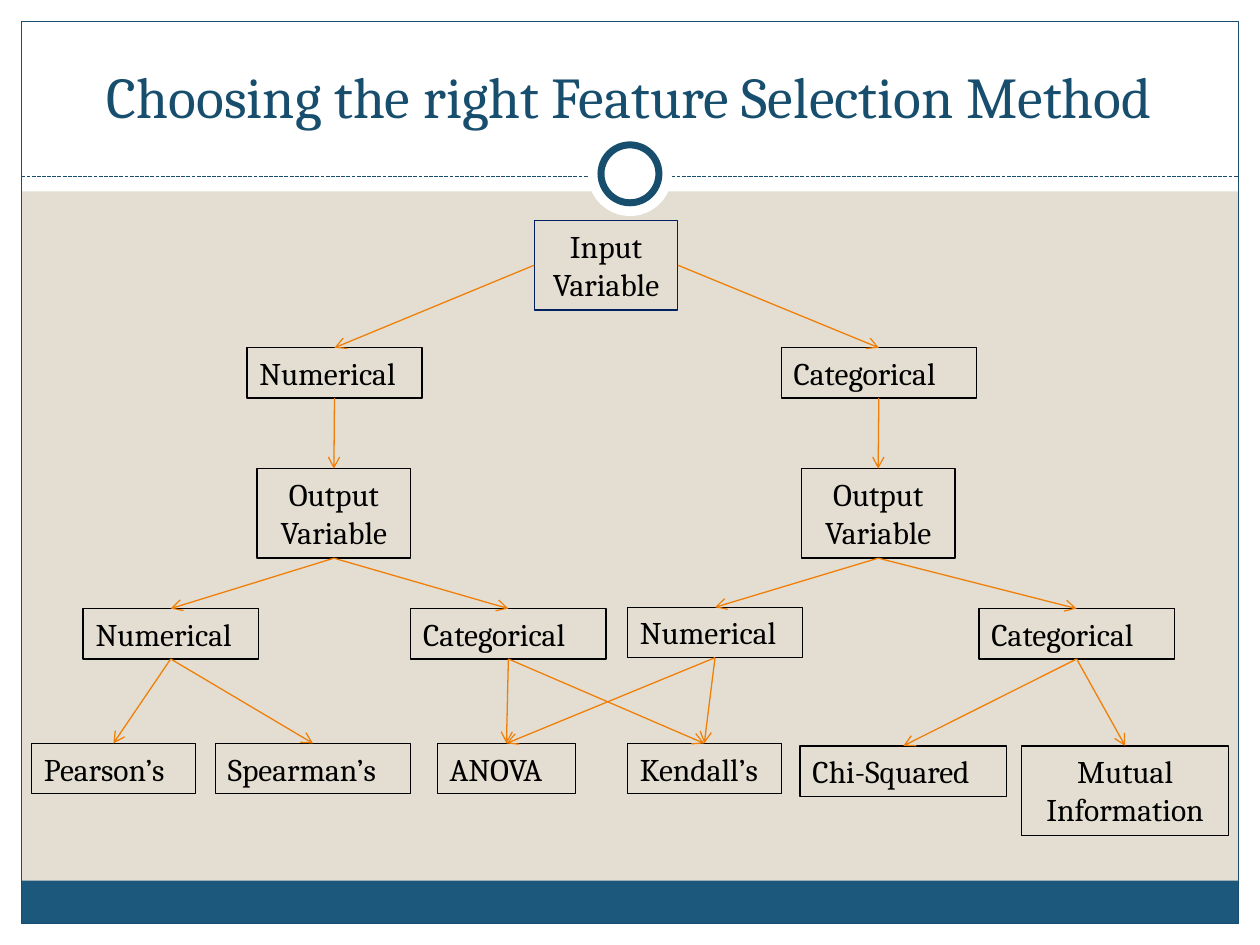
"""Build the feature selection decision tree slide."""
from lxml.etree import SubElement
from pptx import Presentation
from pptx.dml.color import RGBColor as RGB
from pptx.enum.dml import MSO_LINE
from pptx.enum.shapes import MSO_CONNECTOR as CONN, MSO_SHAPE as SHP
from pptx.enum.text import MSO_ANCHOR as ANC, PP_ALIGN as AL
from pptx.oxml.ns import qn
from pptx.util import Inches, Pt

W, H = 10, 7.5
EDGE = 0.17
COL = {"sand": "E3DED1", "white": "FFFFFF", "band": "1B587C", "navy": "184E6D",
       "root": "002060", "black": "000000", "arrow": "F07F09"}

prs = Presentation()
prs.slide_width, prs.slide_height = Inches(W), Inches(H)
s = prs.slides.add_slide(prs.slide_layouts[6])
s.background.fill.solid()
s.background.fill.fore_color.rgb = RGB.from_string(COL["sand"])


def add_box(kind, x, y, w, h, fill=None, line=None, pt=0.75):
    sp = s.shapes.add_shape(kind, *map(Inches, (x, y, w, h)))
    sp.shadow.inherit = False
    for part, color in ((sp.fill, fill), (sp.line.fill, line)):
        if color:
            part.solid()
            part.fore_color.rgb = RGB.from_string(COL[color])
        else:
            part.background()
    if line:
        sp.line.width = Pt(pt)
    return sp


def add_line(color, x1=0, y1=0, x2=0, y2=0):
    ln = s.shapes.add_connector(CONN.STRAIGHT, *map(Inches, (x1, y1, x2, y2)))
    ln.line.color.rgb = RGB.from_string(COL[color])
    ln.line.width = Pt(0.75)
    SubElement(ln._element.spPr, qn("a:effectLst"))
    return ln


for x, y, w, h in ((0, H - EDGE, W, EDGE), (0, 0, W, 1.52),
                   (0, 0, EDGE, H), (W - EDGE, 0, EDGE, H)):
    add_box(SHP.RECTANGLE, x, y, w, h, "white")
add_box(SHP.RECTANGLE, EDGE, 6.99, W - 2 * EDGE, 0.34, "band")
add_box(SHP.RECTANGLE, EDGE, EDGE, W - 2 * EDGE, H - 2 * EDGE, line="navy")
add_line("navy", EDGE, 1.4, W - EDGE, 1.4).line.dash_style = MSO_LINE.SQUARE_DOT
for d, line in ((0.67, None), (0.46, "navy")):
    add_box(SHP.OVAL, (W - d) / 2, 1.38 - d / 2, d, d, "white", line, 4)

title = s.shapes.add_textbox(*map(Inches, (0.33, 0.25, 9.33, 0.83)))
tf = title.text_frame
tf.word_wrap = True
tf.vertical_anchor = ANC.BOTTOM
p = tf.paragraphs[0]
p.text = "Choosing the right Feature Selection Method"
p.alignment = AL.CENTER
p.font.name, p.font.size = "Cambria", Pt(33)
p.font.color.rgb = RGB.from_string(COL["navy"])

ONE, TWO = 0.4, 0.71
NODES = {
    "input": ("Input\nVariable", 4.24, 1.75, 1.14, TWO),
    "num": ("Numerical", 1.96, 2.76, 1.39, ONE),
    "cat": ("Categorical", 6.2, 2.76, 1.55, ONE),
    "num out": ("Output Variable", 2.04, 3.72, 1.22, TWO),
    "cat out": ("Output Variable", 6.36, 3.72, 1.22, TWO),
    "num num": ("Numerical", 0.66, 4.83, 1.39, ONE),
    "num cat": ("Categorical", 3.26, 4.83, 1.55, ONE),
    "cat num": ("Numerical", 4.98, 4.82, 1.39, ONE),
    "cat cat": ("Categorical", 7.77, 4.83, 1.55, ONE),
    "pearson": ("Pearson’s", 0.25, 5.9, 1.3, ONE),
    "spearman": ("Spearman’s", 1.71, 5.9, 1.55, ONE),
    "anova": ("ANOVA", 3.47, 5.9, 1.1, ONE),
    "kendall": ("Kendall’s", 4.98, 5.9, 1.22, ONE),
    "chi": ("Chi-Squared", 6.35, 5.92, 1.64, ONE),
    "mutual": ("Mutual Information", 8.11, 5.92, 1.64, TWO),
}
boxes = {}
for key, (text, x, y, w, h) in NODES.items():
    sp = add_box(SHP.RECTANGLE, x, y, w, h,
                 line="root" if key == "input" else "black")
    tf = sp.text_frame
    tf.word_wrap = True
    tf.vertical_anchor = ANC.TOP
    tf.text = text
    for p in tf.paragraphs:
        p.alignment = AL.CENTER if h == TWO else AL.LEFT
        p.font.name, p.font.size = "Cambria", Pt(18)
        p.font.color.rgb = RGB.from_string(COL["black"])
    boxes[key] = sp

TOP, LEFT, BOTTOM, RIGHT = range(4)
LINKS = [
    ("input", LEFT, ["num"]),
    ("input", RIGHT, ["cat"]),
    ("num", BOTTOM, ["num out"]),
    ("cat", BOTTOM, ["cat out"]),
    ("num out", BOTTOM, ["num num", "num cat"]),
    ("cat out", BOTTOM, ["cat num", "cat cat"]),
    ("num num", BOTTOM, ["pearson", "spearman"]),
    ("num cat", BOTTOM, ["anova", "kendall"]),
    ("cat num", BOTTOM, ["anova", "kendall"]),
    ("cat cat", BOTTOM, ["chi", "mutual"]),
]
for parent, side, children in LINKS:
    for child in children:
        ln = add_line("arrow")
        ln.begin_connect(boxes[parent], side)
        ln.end_connect(boxes[child], TOP)
        SubElement(ln.line._get_or_add_ln(), qn("a:tailEnd"), type="arrow")

prs.save("out.pptx")
